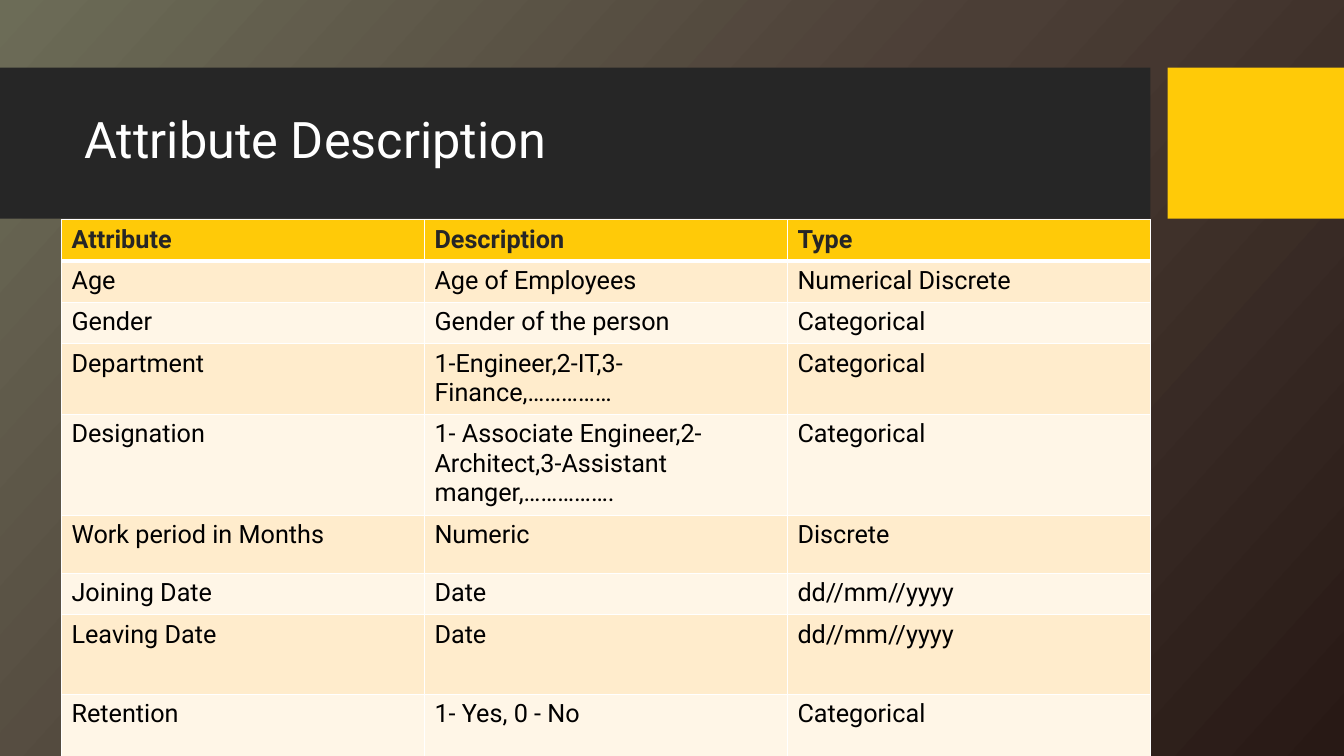
import copy
from dataclasses import dataclass

import pptx
import pptx.dml.color
import pptx.enum.shapes
import pptx.enum.text
import pptx.oxml
import pptx.oxml.ns
import pptx.util
from pptx.util import Inches


@dataclass(frozen=True)
class Theme:
    font: str = "Roboto"
    title_size: int = 36
    table_size: int = 18
    dark: str = "262626"
    accent: str = "FFCA08"
    white: str = "FFFFFF"
    black: str = "000000"
    bands: tuple = ("FFECCC", "FFF6E7")
    backdrop: tuple = ((0, "6C6C57"), (0.5, "4B3E36"), (1, "281915"))
    backdrop_angle: int = 42


def rgb(color):
    return pptx.dml.color.RGBColor.from_string(color)


class SlideBuilder:
    def __init__(self, slide, theme):
        self.slide = slide
        self.theme = theme

    def background(self):
        fill = self.slide.background.fill
        fill.gradient()
        # Gradient angles run counter-clockwise here
        fill.gradient_angle = 360 - self.theme.backdrop_angle
        stop_list = self.slide.element.find(".//" + pptx.oxml.ns.qn("a:gsLst"))
        stop_list.insert(1, copy.deepcopy(stop_list[0]))
        for stop, (position, color) in zip(fill.gradient_stops, self.theme.backdrop):
            stop.position = position
            stop.color.rgb = rgb(color)

    def block(self, left, top, width, height, color):
        block = self.slide.shapes.add_shape(
            pptx.enum.shapes.MSO_SHAPE.RECTANGLE,
            Inches(left), Inches(top), Inches(width), Inches(height))
        block.shadow.inherit = False
        block.fill.solid()
        block.fill.fore_color.rgb = rgb(color)
        block.line.fill.background()

    def style_text(self, frame, size, color, bold=False):
        for paragraph in frame.paragraphs:
            for run in paragraph.runs:
                run.font.name = self.theme.font
                run.font.size = pptx.util.Pt(size)
                run.font.bold = bold
                run.font.color.rgb = rgb(color)

    def title(self, left, top, width, height, text):
        frame = self.slide.shapes.add_textbox(
            Inches(left), Inches(top), Inches(width), Inches(height)).text_frame
        frame.word_wrap = True
        frame.vertical_anchor = pptx.enum.text.MSO_ANCHOR.MIDDLE
        frame.text = text
        frame.paragraphs[0].line_spacing = 0.9
        self.style_text(frame, self.theme.title_size, self.theme.white)

    def cell_borders(self, cell, widths):
        properties = cell._tc.get_or_add_tcPr()
        for index, (side, width) in enumerate(widths.items()):
            properties.insert(index, pptx.oxml.parse_xml(
                f'<a:ln{side} {pptx.oxml.ns.nsdecls("a")} w="{pptx.util.Pt(width)}">'
                f'<a:solidFill><a:srgbClr val="{self.theme.white}"/></a:solidFill>'
                f'</a:ln{side}>'))

    def table(self, left, top, column_width, row_heights, rows):
        theme = self.theme
        columns = len(rows[0])
        table = self.slide.shapes.add_table(
            len(rows), columns, Inches(left), Inches(top),
            Inches(column_width * columns), Inches(sum(row_heights))).table
        for column in table.columns:
            column.width = Inches(column_width)
        for row_index, (height, texts) in enumerate(zip(row_heights, rows)):
            table.rows[row_index].height = Inches(height)
            header = row_index == 0
            background = theme.accent if header else theme.bands[(row_index - 1) % 2]
            # The header is set off by a thicker rule below it
            widths = {"L": 1, "R": 1,
                      "T": 3 if row_index == 1 else 1,
                      "B": 3 if header else 1}
            for column_index, text in enumerate(texts):
                cell = table.cell(row_index, column_index)
                cell.text_frame.text = text
                self.style_text(cell.text_frame, theme.table_size,
                                theme.dark if header else theme.black, header)
                cell.fill.solid()
                cell.fill.fore_color.rgb = rgb(background)
                self.cell_borders(cell, widths)


ATTRIBUTES = [
    ("Attribute", "Description", "Type"),
    ("Age", "Age of Employees", "Numerical Discrete"),
    ("Gender", "Gender of the person", "Categorical"),
    ("Department", "1-Engineer,2-IT,3-Finance,……………", "Categorical"),
    ("Designation",
     "1- Associate Engineer,2- Architect,3-Assistant manger,…………….",
     "Categorical"),
    ("Work period in Months", "Numeric", "Discrete"),
    ("Joining Date", "Date", "dd//mm//yyyy"),
    ("Leaving Date", "Date", "dd//mm//yyyy"),
    ("Retention", "1- Yes, 0 - No", "Categorical"),
]
ROW_HEIGHTS = [0.41, 0.41, 0.41, 0.65, 0.92, 0.58, 0.41, 0.79, 0.79]


def main():
    presentation = pptx.Presentation()
    presentation.slide_width = Inches(13.33)
    presentation.slide_height = Inches(7.5)
    theme = Theme()
    builder = SlideBuilder(
        presentation.slides.add_slide(presentation.slide_layouts[6]), theme)

    # Backdrop and title band
    builder.background()
    builder.block(0, 0.67, 11.41, 1.5, theme.dark)
    builder.block(11.58, 0.67, 1.75, 1.5, theme.accent)
    builder.title(0.74, 0.82, 10.51, 1.18, "Attribute Description")

    # Attribute table
    builder.table(0.61, 2.18, 3.6, ROW_HEIGHTS, ATTRIBUTES)

    presentation.save("out.pptx")


if __name__ == "__main__":
    main()
